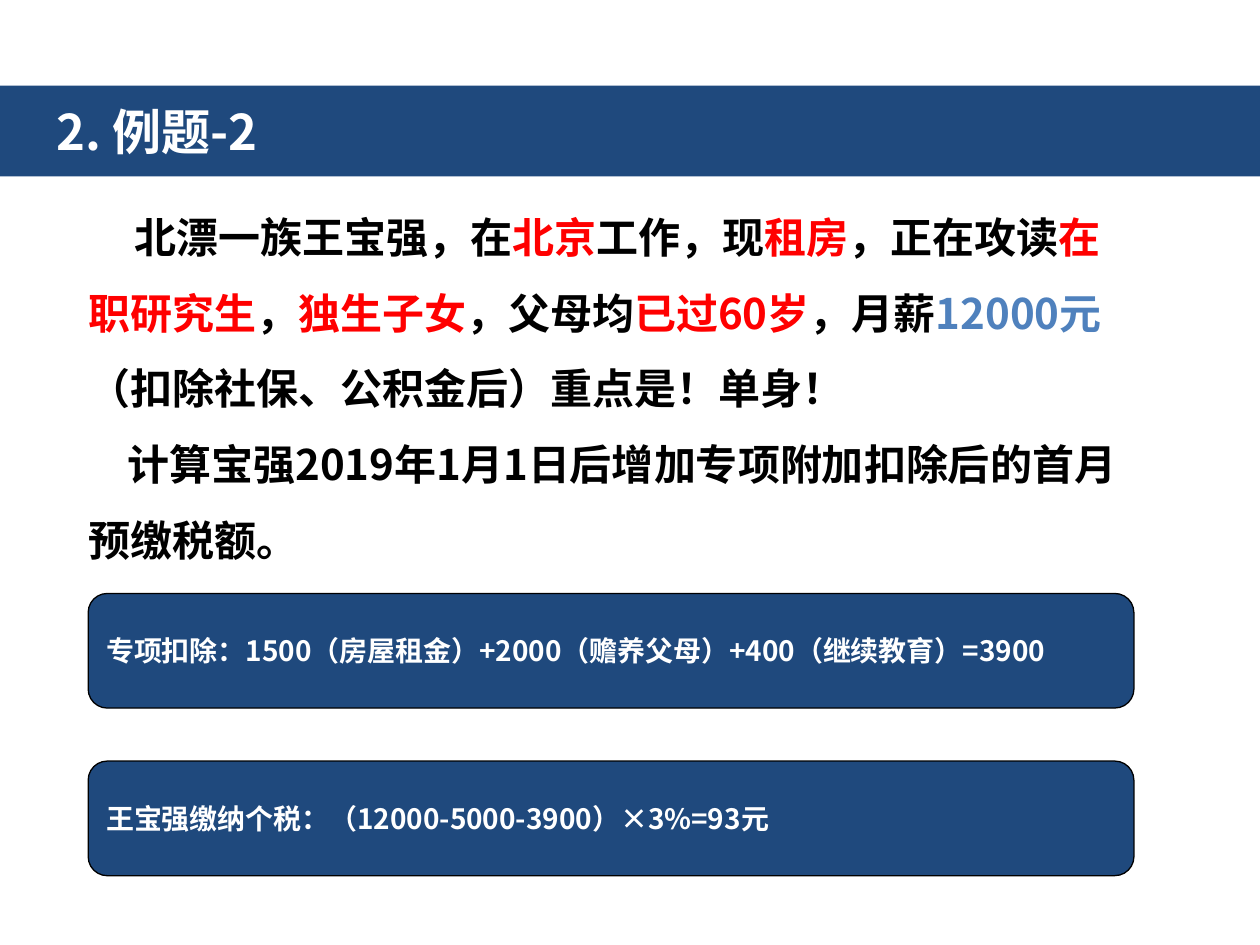
from lxml import etree
from pptx import Presentation
from pptx import util as u
from pptx.dml.color import RGBColor
from pptx.enum import shapes, text
from pptx.oxml.ns import qn

COLORS = {"navy": "1F497D", "white": "FFFFFF", "black": "000000",
          "red": "FF0000", "blue": "4F81BD"}
FONT = "Noto Sans CJK SC"
WIDTH, HEIGHT = u.Inches(10), u.Inches(7.5)


class SlideBuilder:
    """Holds the style and the current slide; boxes are shares of the slide."""

    def __init__(self, prs):
        self.slide = prs.slides.add_slide(prs.slide_layouts[1])

    def color(self, name):
        return RGBColor.from_string(COLORS[name])

    def bounds(self, box):
        left, top, width, height = box
        return [int(left * WIDTH), int(top * HEIGHT),
                int(width * WIDTH), int(height * HEIGHT)]

    def place(self, placeholder, box):
        for side, length in zip(("left", "top", "width", "height"), self.bounds(box)):
            setattr(placeholder, side, length)

    def fill(self, shape, name):
        shape.fill.solid()
        shape.fill.fore_color.rgb = self.color(name)

    def frame(self, shape, anchor):
        values = {"word_wrap": True, "auto_size": text.MSO_AUTO_SIZE.NONE,
                  "vertical_anchor": anchor}
        for key, value in values.items():
            setattr(shape.text_frame, key, value)
        return shape.text_frame

    def add_runs(self, paragraph, runs, size, spacing=1.0, margin=0, indent=0):
        props = paragraph._p.get_or_add_pPr()
        props.set("marL", str(u.Inches(margin)))
        props.set("indent", str(u.Inches(indent)))
        etree.SubElement(props, qn("a:buNone"))
        values = {"alignment": text.PP_ALIGN.LEFT, "line_spacing": spacing,
                  "space_before": u.Pt(0)}
        for key, value in values.items():
            setattr(paragraph, key, value)
        for words, color in runs:
            run = paragraph.add_run()
            run.text = words
            for key, value in {"name": FONT, "size": u.Pt(size), "bold": True}.items():
                setattr(run.font, key, value)
            run.font.color.rgb = self.color(color)
            east_asian = etree.SubElement(run._r.get_or_add_rPr(), qn("a:ea"))
            east_asian.set("typeface", FONT)

    def title(self, words, box):
        banner = self.slide.shapes.title
        self.place(banner, box)
        self.fill(banner, "navy")
        frame = self.frame(banner, text.MSO_ANCHOR.MIDDLE)
        self.add_runs(frame.paragraphs[0], [(words, "white")], 28, margin=0.35)

    def body(self, paragraphs, box):
        question = self.slide.placeholders[1]
        self.place(question, box)
        frame = self.frame(question, text.MSO_ANCHOR.BOTTOM)
        for number, (indent, runs) in enumerate(paragraphs):
            paragraph = frame.add_paragraph() if number else frame.paragraphs[0]
            self.add_runs(paragraph, runs, 24, spacing=1.5, indent=indent)

    def answer(self, words, box):
        panel = self.slide.shapes.add_shape(
            shapes.MSO_SHAPE.ROUNDED_RECTANGLE, *self.bounds(box))
        panel.shadow.inherit = False
        self.fill(panel, "navy")
        panel.line.color.rgb = self.color("black")
        panel.line.width = u.Pt(0.75)
        frame = self.frame(panel, text.MSO_ANCHOR.MIDDLE)
        self.add_runs(frame.paragraphs[0], [(words, "white")], 16)


QUESTION = [
    (0.37, [("北漂一族王宝强，在", "black"), ("北京", "red"), ("工作，现", "black"),
            ("租房", "red"), ("，正在攻读", "black"), ("在职研究生", "red"),
            ("，", "black"), ("独生子女", "red"), ("，父母均", "black"),
            ("已过60岁", "red"), ("，月薪", "black"), ("12000元", "blue"),
            ("（扣除社保、公积金后）重点是！单身！", "black")]),
    (0.31, [("计算宝强2019年1月1日后增加专项附加扣除后的首月预缴税额。", "black")]),
]
ANSWERS = [
    "专项扣除：1500（房屋租金）+2000（赡养父母）+400（继续教育）=3900",
    "王宝强缴纳个税：（12000-5000-3900）×3%=93元",
]


def main():
    prs = Presentation()
    prs.slide_width, prs.slide_height = WIDTH, HEIGHT
    builder = SlideBuilder(prs)

    # Heading banner
    builder.title("2. 例题-2", (0, 0.68 / 7.5, 1, 0.72 / 7.5))

    # Worked question
    builder.body(QUESTION, (0.06, 1.4 / 7.5, 0.85, 3.13 / 7.5))

    # Answer steps, evenly stacked
    first_top, pitch = 4.71 / 7.5, 1.33 / 7.5
    for row, words in enumerate(ANSWERS):
        builder.answer(words, (0.07, first_top + row * pitch, 0.83, 0.91 / 7.5))

    prs.save("out.pptx")


if __name__ == "__main__":
    main()
